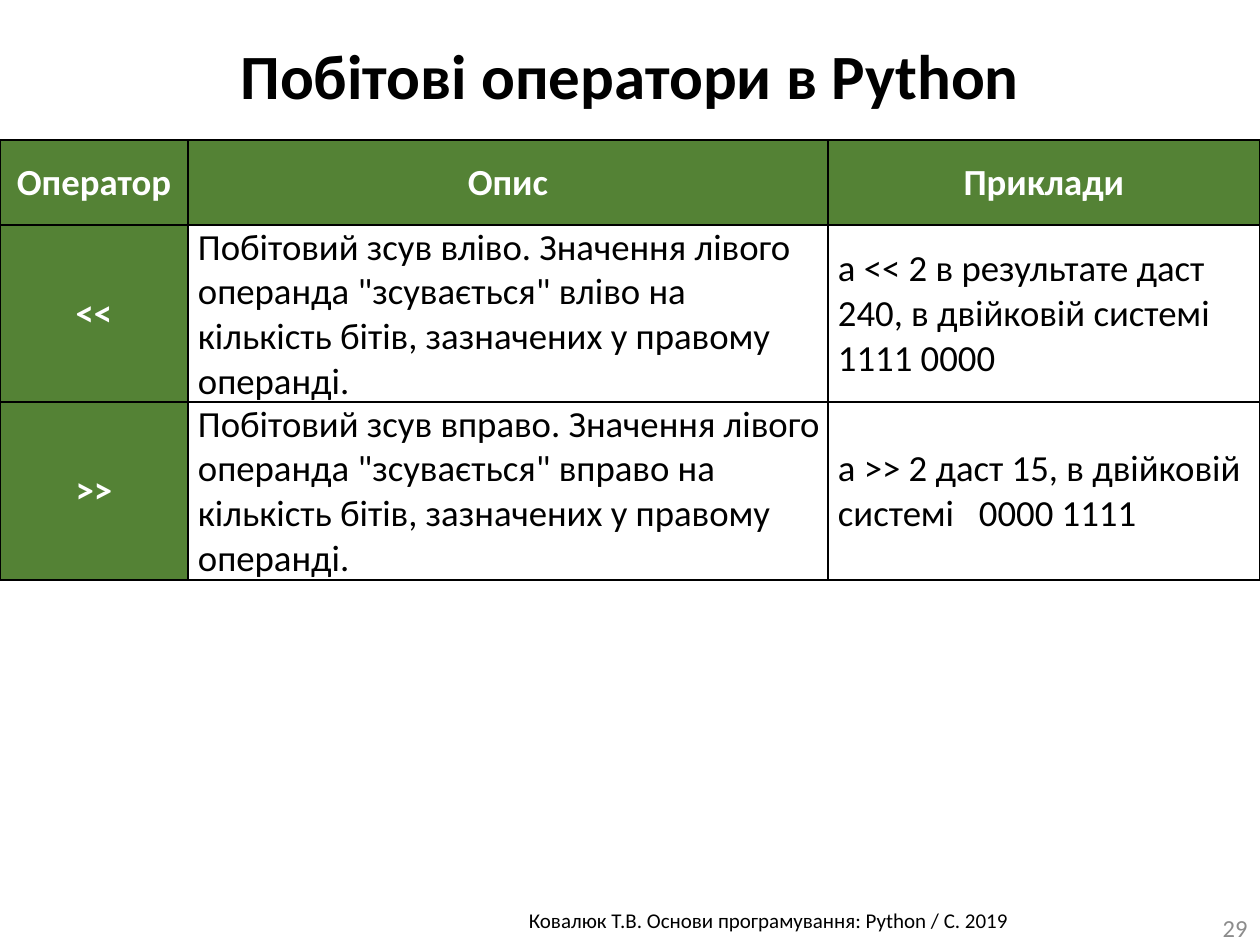
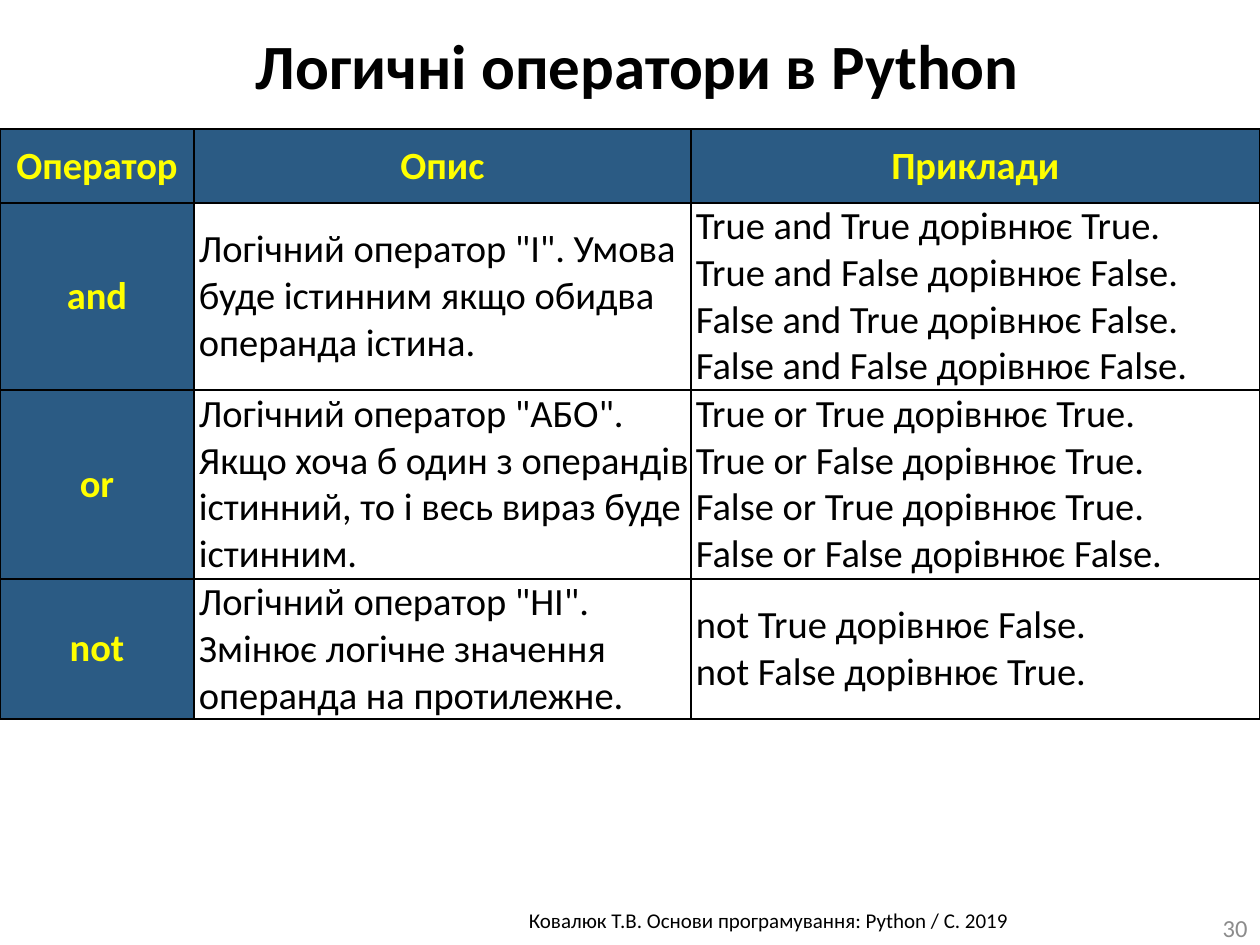
from lxml.etree import SubElement
from pptx import Presentation
from pptx.dml.color import RGBColor
from pptx.enum.text import MSO_ANCHOR, MSO_AUTO_SIZE, PP_ALIGN
from pptx.oxml.ns import qn
from pptx.util import Pt

PX = 914400 // 126
FONT = "Calibri"
BLACK, WHITE, GREY = "000000", "FFFFFF", "8C8C8C"
FOOTER = "Ковалюк Т.В. Основи програмування: Python / C. 2019 "
HEADINGS = ("Оператор", "Опис", "Приклади")
SHIFT = ('Побітовий зсув {0}. Значення лівого операнда "зсувається" {0} '
         "на кількість бітів, зазначених у правому операнді.")

SLIDES = [
    dict(number=29, title="Побітові оператори в Python", title_box=(0, 30, 1260, 89),
         top=140, cols=(188, 640, 432), rows=(85, 177, 178),
         size=21, indent=10, accent="548235", accent_text=WHITE,
         body=[
             ("<<", SHIFT.format("вліво"),
              "a << 2 в результате даст 240, в двійковій системі 1111 0000"),
             (">>", SHIFT.format("вправо"),
              "a >> 2 даст 15, в двійковій системі \u00a0 0000 1111"),
         ]),
    dict(number=30, title="Логичні оператори в Python", title_box=(0, 20, 1275, 89),
         top=129, cols=(194, 497, 569), rows=(74, 187, 189, 140),
         size=22, indent=5, accent="2B5B84", accent_text="FFFF00",
         body=[
             ("and", 'Логічний оператор "І". Умова буде істинним якщо обидва '
              "операнда істина.",
              "True and True дорівнює True.\vTrue and False дорівнює False.\v"
              "False and True дорівнює False.\vFalse and False дорівнює False."),
             ("or", 'Логічний оператор "АБО". Якщо хоча б один з операндів '
              "істинний, то і весь вираз буде істинним.",
              "True or True дорівнює True.\vTrue or False дорівнює True.\v"
              "False or True дорівнює True.\vFalse or False дорівнює False."),
             ("not", 'Логічний оператор "НІ". Змінює логічне значення операнда '
              "на протилежне.",
              "not True дорівнює False.\vnot False дорівнює True."),
         ]),
]


def rgb(color):
    """Turn a hex string into a colour."""
    return RGBColor.from_string(color)


def write(tf, text, size=12, color=BLACK, bold=False, align=PP_ALIGN.LEFT,
          anchor=MSO_ANCHOR.TOP, indent=0):
    """Fill a text frame with one formatted paragraph; \\v breaks a line."""
    tf.word_wrap = True
    tf.vertical_anchor = anchor
    p = tf.paragraphs[0]
    p.text = text
    p.alignment = align
    if indent:
        p._p.get_or_add_pPr().set("marL", str(indent * PX))
    for r in p.runs:
        r.font.name, r.font.size, r.font.bold = FONT, Pt(size), bold
        r.font.color.rgb = rgb(color)


prs = Presentation()
prs.slide_width, prs.slide_height = 1260 * PX, 945 * PX

for page in SLIDES:
    s = prs.slides.add_slide(prs.slide_layouts[5])

    footer = s.shapes.add_textbox(*(v * PX for v in (282, 901, 978, 38)))
    write(footer.text_frame, FOOTER, align=PP_ALIGN.CENTER)
    number = s.shapes.add_textbox(*(v * PX for v in (1201, 910, 59, 35)))
    write(number.text_frame, str(page["number"]), size=14, color=GREY,
          align=PP_ALIGN.RIGHT, anchor=MSO_ANCHOR.MIDDLE)

    title = s.shapes.title
    title.left, title.top, title.width, title.height = (v * PX for v in page["title_box"])
    title.text_frame.auto_size = MSO_AUTO_SIZE.NONE
    write(title.text_frame, page["title"], size=36, bold=True, align=PP_ALIGN.CENTER)

    cols, rows = page["cols"], page["rows"]
    table = s.shapes.add_table(len(rows), len(cols), 0, page["top"] * PX,
                               sum(cols) * PX, sum(rows) * PX).table
    for column, width in zip(table.columns, cols):
        column.width = width * PX
    for row, height in zip(table.rows, rows):
        row.height = height * PX

    for i, texts in enumerate([HEADINGS] + page["body"]):
        for j, text in enumerate(texts):
            cell = table.cell(i, j)
            heading = i == 0 or j == 0
            cell.margin_left = cell.margin_right = cell.margin_top = cell.margin_bottom = 0
            write(cell.text_frame, text, size=page["size"], bold=heading,
                  color=page["accent_text"] if heading else BLACK,
                  align=PP_ALIGN.CENTER if heading else PP_ALIGN.LEFT,
                  indent=0 if heading else page["indent"])
            cell.vertical_anchor = MSO_ANCHOR.MIDDLE
            # Borders must come before the fill in the cell properties.
            tcPr = cell._tc.get_or_add_tcPr()
            for side in ("lnL", "lnR", "lnT", "lnB"):
                line = SubElement(tcPr, qn("a:" + side), w=str(Pt(1)))
                SubElement(SubElement(line, qn("a:solidFill")), qn("a:srgbClr"), val=BLACK)
            cell.fill.solid()
            cell.fill.fore_color.rgb = rgb(page["accent"] if heading else WHITE)

prs.save("out.pptx")
